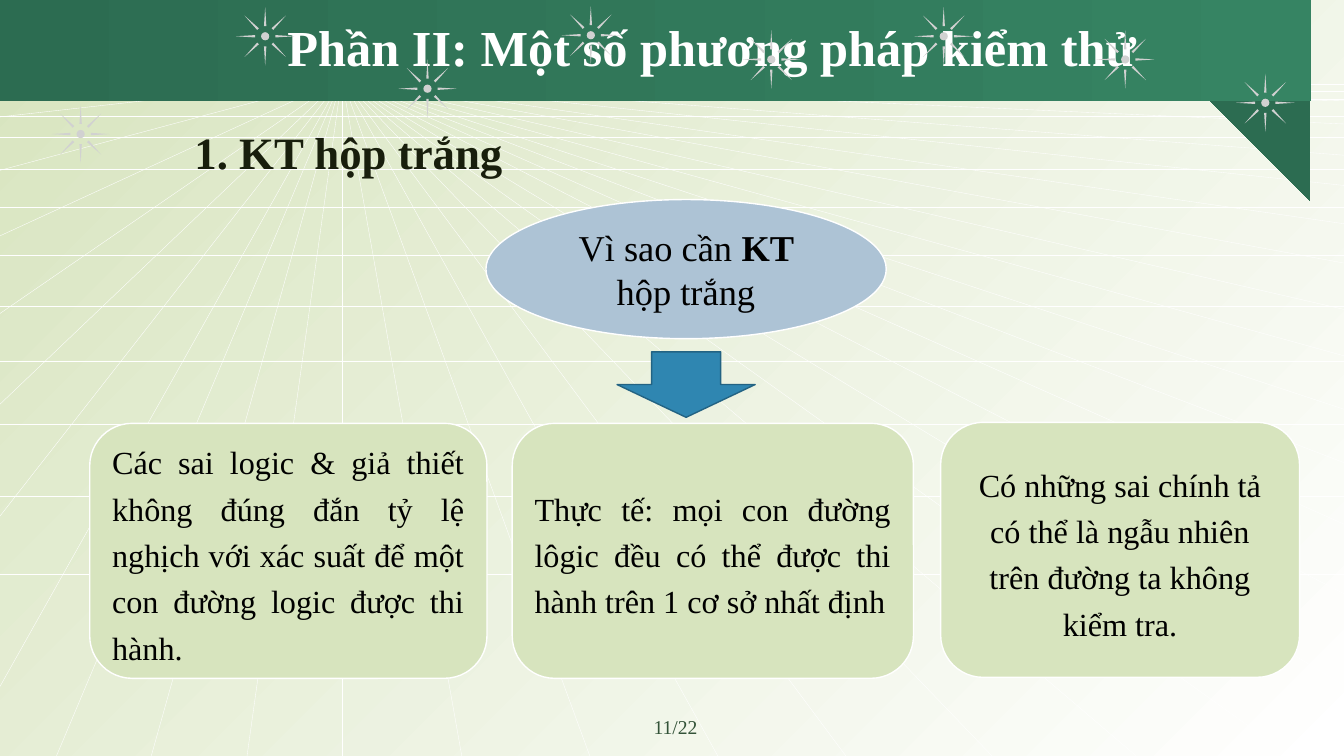
from lxml.etree import SubElement
from pptx import Presentation
from pptx.dml.color import RGBColor
from pptx.enum.shapes import MSO_CONNECTOR, MSO_SHAPE
from pptx.enum.text import MSO_ANCHOR, PP_ALIGN
from pptx.oxml.ns import qn
from pptx.util import Inches, Pt

WIDTH, HEIGHT = 13.33, 7.5
FONT = "Times New Roman"

WHITE = RGBColor(0xFF, 0xFF, 0xFF)
BLACK = RGBColor(0x00, 0x00, 0x00)
PALE_GREEN = RGBColor(0xD7, 0xE4, 0xBE)
LIGHT_BAND = RGBColor(0x36, 0x84, 0x63)
DARK_BAND = RGBColor(0x2C, 0x6C, 0x51)
HEADING_GREEN = RGBColor(0x18, 0x1E, 0x0C)
NUMBER_GREEN = RGBColor(0x33, 0x53, 0x38)
SUN_GREY = RGBColor(0xD1, 0xD1, 0xD1)
QUESTION_BLUE = RGBColor(0xAD, 0xC3, 0xD5)
ARROW_BLUE = RGBColor(0x2F, 0x86, 0xB1)
ARROW_EDGE = RGBColor(0x23, 0x63, 0x83)

# Content: (text, bold) runs
TITLE = [("Phần II: Một số phương pháp kiểm thử", True)]
HEADING = [("1. KT hộp trắng", True)]
PAGE_NUMBER = [("11/22", False)]
QUESTION = [("Vì sao cần ", False), ("KT ", True), ("hộp trắng", False)]
# left, top, width, alignment, text
REASONS = [
    (0.89, 4.2, 3.94, PP_ALIGN.JUSTIFY,
     "Các sai logic & giả thiết không đúng đắn tỷ lệ nghịch với xác suất "
     "để một con đường logic được thi hành."),
    (5.08, 4.2, 3.98, PP_ALIGN.JUSTIFY,
     "Thực tế: mọi con đường lôgic đều có thể được thi hành trên 1 cơ sở "
     "nhất định"),
    (9.33, 4.19, 3.56, PP_ALIGN.CENTER,
     "Có những sai chính tả có thể là ngẫu nhiên trên đường ta không "
     "kiểm tra."),
]
REASON_HEIGHT = 2.53

# Perspective floor: rays leave one vanishing point and end on the slide edges
VANISHING_POINT = (3.39, 0.78)
RIGHT_ENDS = [1, 1.23, 1.54, 1.84, 2.22, 2.61, 3.07, 3.53, 4.06, 4.59, 5.2,
              5.89, 6.8]
BOTTOM_ENDS = [0.56, 1.5, 2.45, 3.39, 4.58, 5.85, 7.12, 8.39, 9.84, 11.27,
               12.8]
LEFT_ENDS = [0.78, 0.97, 1.16, 1.69, 2.34, 3.11, 4.01, 5.12, 6.81]
HORIZONS = [0.84, 0.9, 0.98, 1.15, 1.36, 1.68, 2.06, 2.53, 3.04, 3.58, 4.21,
            4.92, 5.7]

# Lower edge of each band: start point, then cubic curves; and gradient colours
BANDS = [
    ((0, 1.19), [((0.15, 1.18), (1.78, 0.93), (4.63, 0.85)),
                 ((7.48, 0.78), (11.07, 1.06), (WIDTH, 1.75))],
     (LIGHT_BAND, DARK_BAND)),
    ((0, 1.33), [((0.15, 1.31), (2.02, 0.85), (4.85, 0.77)),
                 ((7.69, 0.69), (11.07, 0.81), (WIDTH, 1.47))],
     (DARK_BAND, LIGHT_BAND)),
]
CURVE_STEPS = 30

SUN_SIZE = 0.58
SUNS = [(10.87, 0.3), (0.51, 1.04), (2.34, 0.07), (3.95, 0.59), (5.57, 0.06),
        (7.36, 0.3), (9.07, 0.07), (12.26, 0.73)]


def set_gradient(fill, colours, angle):
    fill.gradient()
    fill.gradient_angle = angle
    for stop, colour in zip(fill.gradient_stops, colours):
        stop.color.rgb = colour


def add_floor_line(slide, start, end):
    floor_line = slide.shapes.add_connector(
        MSO_CONNECTOR.STRAIGHT, *map(Inches, (*start, *end)))
    floor_line.line.color.rgb = WHITE
    floor_line.line.width = Pt(0.25)
    SubElement(floor_line._element.spPr, qn("a:effectLst"))


def curve_points(start, curves):
    """Sample a chain of cubic Bézier curves."""
    points = [start]
    for a, b, end in curves:
        for step in range(1, CURVE_STEPS + 1):
            t = step / CURVE_STEPS
            weights = ((1 - t) ** 3, 3 * t * (1 - t) ** 2,
                       3 * t ** 2 * (1 - t), t ** 3)
            points.append(tuple(
                sum(w * p[axis] for w, p in zip(weights, (start, a, b, end)))
                for axis in (0, 1)))
        start = end
    return points


def add_band(slide, start, curves, colours):
    builder = slide.shapes.build_freeform(0, 0, scale=Inches(1))
    builder.add_line_segments(curve_points(start, curves) + [(WIDTH, 0)])
    band = builder.convert_to_shape()
    band.shadow.inherit = False
    band.line.fill.background()
    set_gradient(band.fill, colours, 0)


def add_figure(slide, kind, box, colour, edge=None):
    figure = slide.shapes.add_shape(kind, *map(Inches, box))
    figure.shadow.inherit = False
    figure.fill.solid()
    figure.fill.fore_color.rgb = colour
    if edge is None:
        figure.line.fill.background()
    else:
        figure.line.color.rgb = edge
        figure.line.width = Pt(1)
    return figure


def write(frame, runs, size, colour, align, anchor, spacing=None):
    frame.word_wrap = True
    frame.vertical_anchor = anchor
    paragraph = frame.paragraphs[0]
    paragraph.alignment = align
    paragraph.line_spacing = spacing
    for text, bold in runs:
        run = paragraph.add_run()
        run.text = text
        run.font.name = FONT
        run.font.size = Pt(size)
        run.font.bold = bold
        run.font.color.rgb = colour


def add_label(slide, box, runs, size, colour, align, anchor=MSO_ANCHOR.TOP):
    label = slide.shapes.add_textbox(*map(Inches, box))
    write(label.text_frame, runs, size, colour, align, anchor)


def add_backdrop(slide):
    set_gradient(slide.background.fill, (PALE_GREEN, WHITE), 315)
    ends = ([(WIDTH, y) for y in RIGHT_ENDS]
            + [(x, HEIGHT) for x in BOTTOM_ENDS]
            + [(0, y) for y in LEFT_ENDS])
    for end in ends:
        add_floor_line(slide, VANISHING_POINT, end)
    for y in HORIZONS:
        add_floor_line(slide, (0, y), (WIDTH, y))
    for band in BANDS:
        add_band(slide, *band)


def add_content(slide):
    add_label(slide, (2.56, 0.11, 9, 0.7), TITLE, 36, WHITE,
              PP_ALIGN.CENTER, MSO_ANCHOR.MIDDLE)
    add_label(slide, (4.59, 7.04, 4.22, 0.35), PAGE_NUMBER, 14, NUMBER_GREEN,
              PP_ALIGN.CENTER)
    add_label(slide, (1.83, 1.19, 9.49, 0.64), HEADING, 32, HEADING_GREEN,
              PP_ALIGN.LEFT)
    for left, top in SUNS:
        sun = add_figure(slide, MSO_SHAPE.SUN,
                         (left, top, SUN_SIZE, SUN_SIZE), SUN_GREY)
        sun.adjustments[0] = 0.43
    question = add_figure(slide, MSO_SHAPE.OVAL, (4.82, 1.98, 3.97, 1.38),
                          QUESTION_BLUE, WHITE)
    write(question.text_frame, QUESTION, 26, BLACK, PP_ALIGN.CENTER,
          MSO_ANCHOR.MIDDLE)
    for left, top, width, align, text in REASONS:
        reason = add_figure(slide, MSO_SHAPE.ROUNDED_RECTANGLE,
                            (left, top, width, REASON_HEIGHT),
                            PALE_GREEN, WHITE)
        write(reason.text_frame, [(text, False)], 23, BLACK, align,
              MSO_ANCHOR.MIDDLE, 1.2)
    add_figure(slide, MSO_SHAPE.DOWN_ARROW, (6.12, 3.49, 1.37, 0.65),
               ARROW_BLUE, ARROW_EDGE)


def main():
    deck = Presentation()
    deck.slide_width, deck.slide_height = Inches(WIDTH), Inches(HEIGHT)
    slide = deck.slides.add_slide(deck.slide_layouts[6])
    add_backdrop(slide)
    add_content(slide)
    deck.save("out.pptx")


if __name__ == "__main__":
    main()
